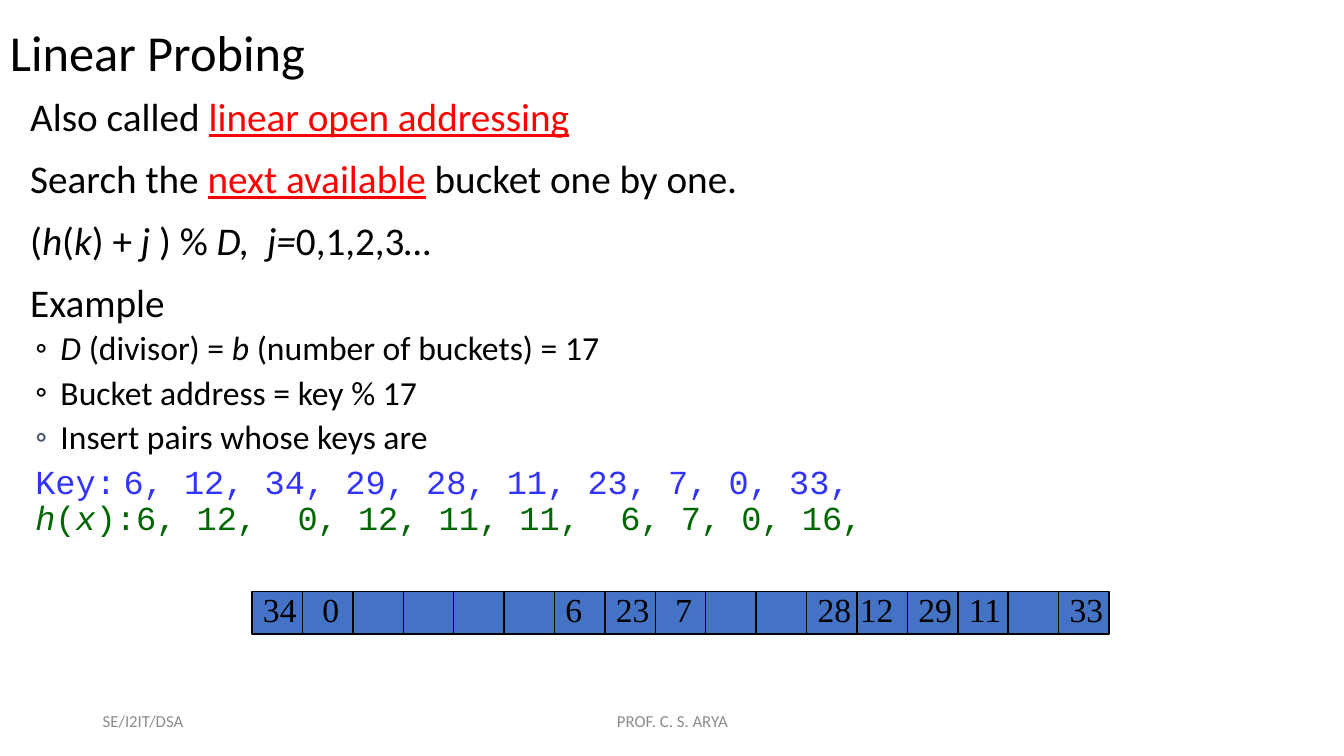
from dataclasses import dataclass
from typing import Optional

from lxml.etree import SubElement
from pptx import Presentation
from pptx.dml.color import RGBColor
from pptx.enum.shapes import MSO_SHAPE
from pptx.enum.text import MSO_ANCHOR, PP_ALIGN
from pptx.oxml.ns import qn
from pptx.util import Inches, Pt

BLACK = RGBColor(0x00, 0x00, 0x00)
RED = RGBColor(0xFF, 0x00, 0x00)
BLUE = RGBColor(0x33, 0x33, 0xFF)
GREEN = RGBColor(0x00, 0x66, 0x00)
SLATE = RGBColor(0x44, 0x54, 0x6A)
GREY = RGBColor(0x8C, 0x8C, 0x8C)
CELL_FILL = RGBColor(0x44, 0x72, 0xC4)

BUCKET_COUNT = 17
TABLE_LEFT, TABLE_TOP = 2.5, 5.87
CELL_WIDTH, CELL_HEIGHT = 0.5, 0.42
KEY_TOP = 5.79


@dataclass
class Span:
    text: str
    color: Optional[RGBColor] = None
    italic: bool = False
    underline: bool = False
    font: Optional[str] = None


@dataclass
class Line:
    spans: list[Span]
    size: float = 28
    before: float = 14
    margin: float = 0.3
    bullet: Optional[RGBColor] = None
    font: str = "Calibri"
    color: RGBColor = BLACK
    spacing: float = 0.9
    align: PP_ALIGN = PP_ALIGN.LEFT


@dataclass
class Key:
    bucket: int
    text: str
    shift: float = 0.01


def alternate(text: str, color: Optional[RGBColor] = None) -> list[Span]:
    return [Span(part, color, italic=index % 2 == 1)
            for index, part in enumerate(text.split("|")) if part]


def point(text: str, before: float = 6, bullet: RGBColor = BLACK) -> Line:
    return Line(alternate(text), 24, before, 0.6, bullet)


BODY = [
    Line([Span("Also called "), Span("linear open addressing", RED, underline=True)], before=0),
    Line([Span("Search the "), Span("next available", RED, underline=True),
          Span(" bucket one by one.")]),
    Line(alternate("(|h|(|k|) + |j| ) % |D,  j=|0,1,2,3|…")),
    Line([Span("Example")]),
    point("|D| (divisor) = |b| (number of buckets) = 17", before=4),
    point("Bucket address = key % 17"),
    point("Insert pairs whose keys are", bullet=SLATE),
    Line([Span("Key:"), Span(" ", font="Calibri"),
          Span("6, 12, 34, 29, 28, 11, 23, 7, 0, 33,  "),
          *alternate("|h|(|x|):6, 12,  0, 12, 11, 11,  6, 7, 0, 16,", GREEN)],
         24, 6, 0.35, font="Courier New", color=BLUE),
]
KEYS = [
    Key(6, "6"), Key(12, "12", -0.07), Key(13, "29"), Key(0, "34"), Key(11, "28"),
    Key(14, "11"), Key(7, "23"), Key(8, "7", 0.1), Key(1, "0", 0.1), Key(16, "33"),
]


def add_bullet(properties, color: RGBColor) -> None:
    fill = SubElement(properties, qn("a:buClr"))
    SubElement(fill, qn("a:srgbClr"), val=str(color))
    SubElement(properties, qn("a:buFont"), typeface="Calibri")
    SubElement(properties, qn("a:buChar"), char="◦")


def fill_paragraph(para, line: Line) -> None:
    para.alignment = line.align
    para.line_spacing = line.spacing
    para.space_before = Pt(line.before)
    properties = para._p.get_or_add_pPr()
    properties.set("marL", str(Inches(line.margin)))
    properties.set("indent", str(Inches(-0.25 if line.bullet is not None else 0)))
    if line.bullet is not None:
        add_bullet(properties, line.bullet)
    para.font.name = line.font
    para.font.size = Pt(line.size)
    para.font.color.rgb = line.color
    for span in line.spans:
        run = para.add_run()
        run.text = span.text
        if span.color is not None:
            run.font.color.rgb = span.color
        if span.italic:
            run.font.italic = True
        if span.underline:
            run.font.underline = True
        if span.font:
            run.font.name = span.font


def add_text(shapes, left: float, top: float, width: float, height: float, lines: list[Line],
             anchor: MSO_ANCHOR = MSO_ANCHOR.TOP, side: float = 0.1, bottom: float = 0.05) -> None:
    box = shapes.add_textbox(Inches(left), Inches(top), Inches(width), Inches(height))
    frame = box.text_frame
    frame.word_wrap = True
    frame.vertical_anchor = anchor
    frame.margin_left = frame.margin_right = Inches(side)
    frame.margin_top, frame.margin_bottom = Inches(0.05), Inches(bottom)
    for index, line in enumerate(lines):
        para = frame.add_paragraph() if index else frame.paragraphs[0]
        fill_paragraph(para, line)


def plain(text: str, size: float, font: str, color: RGBColor,
          align: PP_ALIGN = PP_ALIGN.LEFT, spacing: float = 1.0) -> Line:
    return Line([Span(text)], size, 0, 0, font=font, color=color, spacing=spacing, align=align)


def add_hash_table(page) -> None:
    shapes = page.shapes.add_group_shape().shapes
    for bucket in range(BUCKET_COUNT):
        cell = shapes.add_shape(
            MSO_SHAPE.RECTANGLE, Inches(TABLE_LEFT + bucket * CELL_WIDTH), Inches(TABLE_TOP),
            Inches(CELL_WIDTH), Inches(CELL_HEIGHT))
        cell.shadow.inherit = False
        cell.fill.solid()
        cell.fill.fore_color.rgb = CELL_FILL
        cell.line.color.rgb = BLACK
        cell.line.width = Pt(1)
    for key in KEYS:
        left = TABLE_LEFT + key.bucket * CELL_WIDTH + key.shift
        width = 0.42 if len(key.text) == 1 else 0.58
        add_text(shapes, left, KEY_TOP, width, 0.5,
                 [plain(key.text, 24, "Times New Roman", BLACK)])


def main() -> None:
    deck = Presentation()
    deck.slide_width, deck.slide_height = Inches(13.33), Inches(7.5)
    page = deck.slides.add_slide(deck.slide_layouts[6])
    add_text(page.shapes, 0.92, 6.95, 3, 0.4,
             [plain("SE/I2IT/DSA", 12, "Calibri", GREY)], MSO_ANCHOR.MIDDLE)
    add_text(page.shapes, 4.42, 6.95, 4.5, 0.4,
             [plain("PROF. C. S. ARYA", 12, "Calibri", GREY, PP_ALIGN.CENTER)], MSO_ANCHOR.MIDDLE)
    add_text(page.shapes, 0, 0.3, 9, 0.61,
             [plain("Linear Probing", 36, "Calibri", BLACK, spacing=0.85)],
             MSO_ANCHOR.BOTTOM, bottom=0.1)
    add_text(page.shapes, 0, 0.92, 8.91, 5.59, BODY, side=0)
    add_hash_table(page)
    deck.save("out.pptx")


if __name__ == "__main__":
    main()
